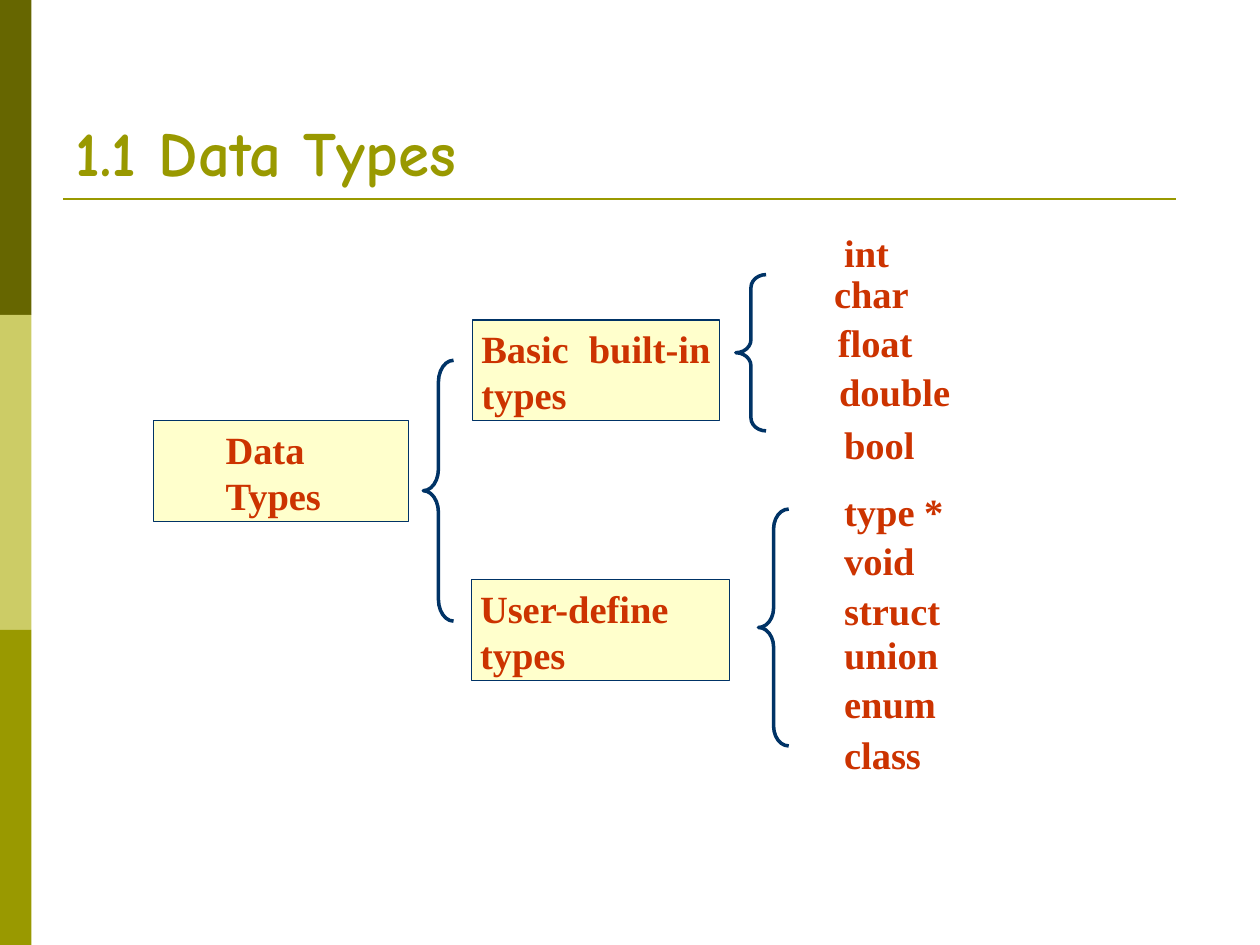
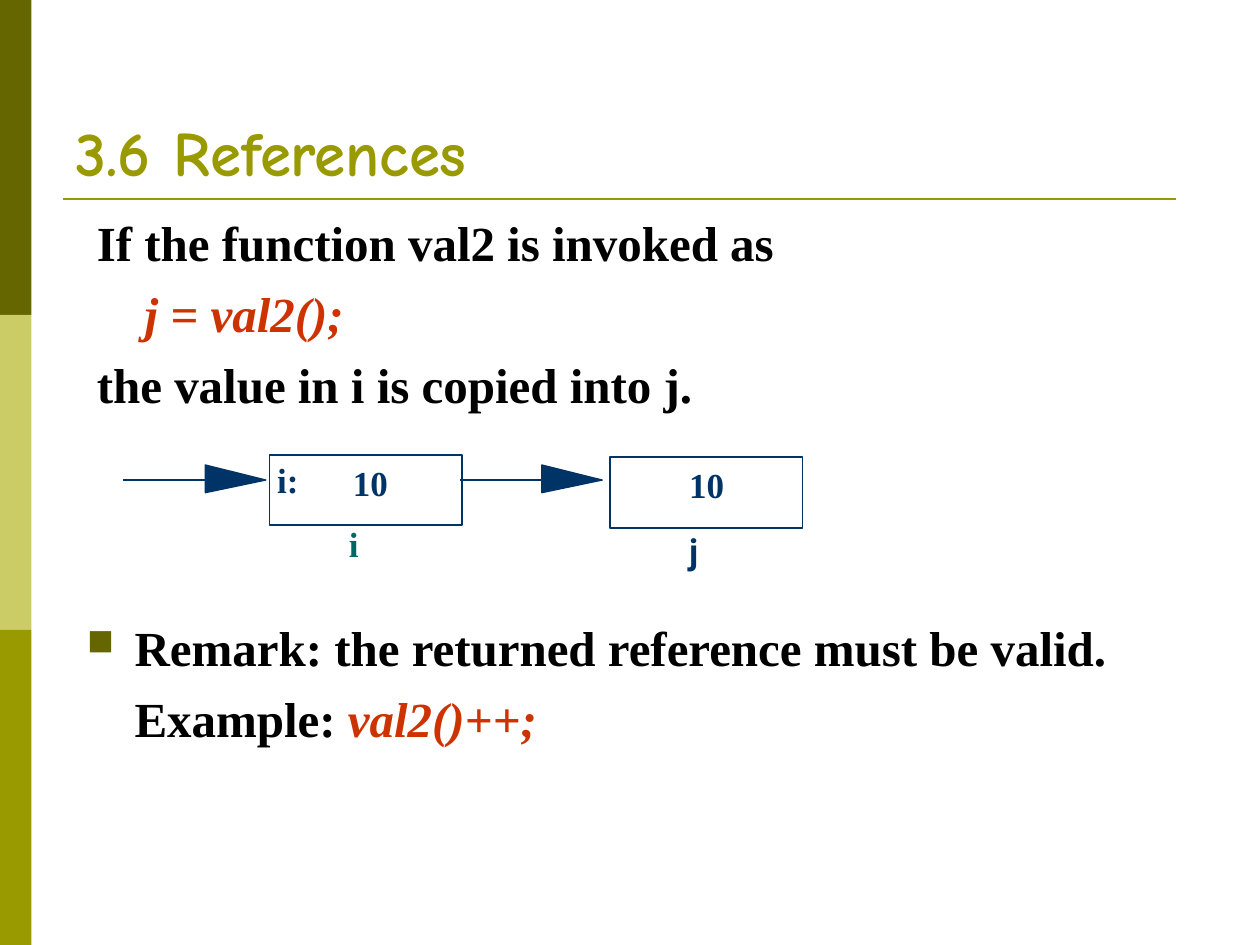
from dataclasses import dataclass

from lxml import etree
from pptx import Presentation
from pptx.dml.color import RGBColor
from pptx.enum.shapes import MSO_CONNECTOR, MSO_SHAPE
from pptx.enum.text import MSO_ANCHOR, MSO_AUTO_SIZE, PP_ALIGN
from pptx.oxml.ns import qn
from pptx.util import Inches, Pt

RECTANGLE = MSO_SHAPE.RECTANGLE
LEFT_BRACE = MSO_SHAPE.LEFT_BRACE
STRAIGHT = MSO_CONNECTOR.STRAIGHT
TOP, BOTTOM = MSO_ANCHOR.TOP, MSO_ANCHOR.BOTTOM
NO_AUTOFIT = MSO_AUTO_SIZE.NONE
LEFT, JUSTIFY = PP_ALIGN.LEFT, PP_ALIGN.JUSTIFY


@dataclass(frozen=True)
class Theme:
    olive: str = "999900"
    dark_olive: str = "666600"
    pale_olive: str = "CCCC66"
    navy: str = "003366"
    teal: str = "006666"
    red: str = "CC3300"
    cream: str = "FFFFCC"
    white: str = "FFFFFF"
    black: str = "000000"
    title_font: str = "Comic Neue"
    text_font: str = "Times New Roman"
    label_font: str = "Roboto"
    title_size: int = 36
    body_size: int = 28
    type_size: int = 22
    value_size: int = 20


THEME = Theme()

TYPE_LABELS = [
    ("int", 6.13, 1.78),
    ("char", 6.05, 2.1),
    ("float", 6.08, 2.49),
    ("double", 6.09, 2.88),
    ("bool", 6.13, 3.3),
    ("type *", 6.13, 3.83),
    ("void", 6.13, 4.22),
    ("struct", 6.13, 4.62),
    ("union", 6.13, 4.97),
    ("enum", 6.13, 5.36),
    ("class", 6.13, 5.76),
]


def box(left, top, width, height):
    return [Inches(value) for value in (left, top, width, height)]


def color(value):
    return RGBColor.from_string(value)


def style_font(font, size, value, name=THEME.text_font):
    font.name = name
    font.size = Pt(size)
    font.bold = True
    font.color.rgb = color(value)


def prepare_frame(shape, horizontal=0.0, vertical=0.0, anchor=TOP):
    frame = shape.text_frame
    frame.auto_size = NO_AUTOFIT
    frame.word_wrap = True
    frame.vertical_anchor = anchor
    frame.margin_left = frame.margin_right = Inches(horizontal)
    frame.margin_top = frame.margin_bottom = Inches(vertical)
    return frame


def set_indent(paragraph, margin, first_line=0.0):
    properties = paragraph._p.get_or_add_pPr()
    properties.set("marL", str(Inches(margin)))
    properties.set("indent", str(Inches(first_line)))
    return properties


def add_bullet(paragraph):
    properties = set_indent(paragraph, 0.38, -0.38)
    bullet_color = etree.SubElement(properties, qn("a:buClr"))
    etree.SubElement(bullet_color, qn("a:srgbClr"), val=THEME.dark_olive)
    etree.SubElement(properties, qn("a:buSzPct"), val="75000")
    etree.SubElement(properties, qn("a:buChar"), char="■")


def add_rectangle(slide, bounds, fill, line=None, width=0.75):
    shape = slide.shapes.add_shape(RECTANGLE, *box(*bounds))
    shape.shadow.inherit = False
    shape.fill.solid()
    shape.fill.fore_color.rgb = color(fill)
    if line:
        shape.line.color.rgb = color(line)
        shape.line.width = Pt(width)
    else:
        shape.line.fill.background()
    return shape


def add_line(slide, start, end, value, width):
    connector = slide.shapes.add_connector(
        STRAIGHT, *[Inches(number) for number in (*start, *end)])
    connector.line.color.rgb = color(value)
    connector.line.width = Pt(width)
    etree.SubElement(connector._element.spPr, qn("a:effectLst"))


def add_titled_slide(presentation, title):
    slide = presentation.slides.add_slide(presentation.slide_layouts[5])
    bands = (THEME.dark_olive, THEME.pale_olive, THEME.olive)
    for index, fill in enumerate(bands):
        add_rectangle(slide, (0, index * 2.5, 0.25, 2.5), fill)
    add_line(slide, (0.5, 1.58), (9.33, 1.58), THEME.olive, 1.5)
    placeholder = slide.shapes.title
    placeholder.left, placeholder.top, placeholder.width, placeholder.height = box(
        0.5, 0.3, 9, 1.25)
    paragraph = prepare_frame(placeholder, 0.1, 0.05, BOTTOM).paragraphs[0]
    paragraph.text = title
    paragraph.alignment = LEFT
    style_font(paragraph.font, THEME.title_size, THEME.olive, THEME.title_font)
    return slide


def write_type(shape, text, margin=0.0):
    paragraph = prepare_frame(shape, 0.07, 0.04).paragraphs[0]
    paragraph.text = text
    paragraph.alignment = JUSTIFY
    set_indent(paragraph, margin)
    style_font(paragraph.font, THEME.type_size, THEME.red)


def add_type_box(slide, text, bounds, margin=0.0):
    shape = add_rectangle(slide, bounds, THEME.cream, THEME.navy)
    write_type(shape, text, margin)


def add_type_label(slide, text, left, top):
    write_type(slide.shapes.add_textbox(*box(left, top, 1.8, 0.44)), text, 0.5)


def add_brace(slide, left, top, height, width=0.24):
    brace = slide.shapes.add_shape(LEFT_BRACE, *box(left, top, width, height))
    brace.adjustments[0] = 0.0833 * height / width
    brace.shadow.inherit = False
    brace.fill.background()
    brace.line.color.rgb = color(THEME.navy)
    brace.line.width = Pt(2)


def write_value(shape, text, value=THEME.navy, font=THEME.text_font, insets=(0, 0)):
    paragraph = prepare_frame(shape, *insets).paragraphs[0]
    paragraph.text = text
    paragraph.alignment = LEFT
    style_font(paragraph.font, THEME.value_size, value, font)


def add_value_text(slide, text, bounds, value=THEME.navy, font=THEME.text_font):
    write_value(slide.shapes.add_textbox(*box(*bounds)), text, value, font)


def add_variable_box(slide, left, top):
    return add_rectangle(
        slide, (left, top, 1.53, 0.56), THEME.white, THEME.navy, 1)


def add_long_arrow(slide, left, middle=3.81):
    base = left + 0.65
    corners = [(base, middle - 0.12), (base, middle + 0.1)]
    builder = slide.shapes.build_freeform(Inches(base + 0.48), Inches(middle))
    builder.add_line_segments(
        [(Inches(x), Inches(y)) for x, y in corners], close=True)
    head = builder.convert_to_shape()
    head.shadow.inherit = False
    head.fill.solid()
    head.fill.fore_color.rgb = color(THEME.navy)
    head.line.color.rgb = color(THEME.navy)
    head.line.width = Pt(0.75)
    add_line(slide, (left, middle), (base, middle), THEME.navy, 1)


def add_body(slide, bounds, lines):
    frame = prepare_frame(slide.shapes.add_textbox(*box(*bounds)), 0.1, 0.05)
    for index, (text, code, style) in enumerate(lines):
        paragraph = frame.add_paragraph() if index else frame.paragraphs[0]
        if style == "bullet":
            add_bullet(paragraph)
        elif style == "indented":
            set_indent(paragraph, 0.38)
        else:
            set_indent(paragraph, 0.38, -0.38)
        if index:
            paragraph.space_before = Pt(7)
        style_font(paragraph.font, THEME.body_size, THEME.black)
        if text:
            paragraph.add_run().text = text
        if code:
            run = paragraph.add_run()
            run.text = code
            run.font.italic = True
            run.font.color.rgb = color(THEME.red)


def build_data_types(presentation):
    slide = add_titled_slide(presentation, "1.1 Data Types")
    add_type_box(slide, "Data Types", (1.22, 3.34, 2.02, 0.8), 0.5)
    add_type_box(slide, "Basic built-in types", (3.75, 2.54, 1.96, 0.8))
    add_type_box(slide, "User-define types", (3.74, 4.6, 2.05, 0.8))
    for left, top, height in ((3.36, 2.86, 2.07), (5.84, 2.18, 1.24), (6.02, 4.04, 1.88)):
        add_brace(slide, left, top, height)
    for text, left, top in TYPE_LABELS:
        add_type_label(slide, text, left, top)


def build_references(presentation):
    slide = add_titled_slide(presentation, "3.6 References")
    add_body(slide, (0.67, 1.64, 8.49, 1.87), [
        ("If the function val2 is invoked as", "", "hanging"),
        ("", "j = val2();", "indented"),
        ("the value in i is copied into j.", "", "hanging"),
    ])
    source_box = add_variable_box(slide, 2.14, 3.61)
    write_value(source_box, "i:", insets=(0.06, 0.03))
    add_variable_box(slide, 4.84, 3.63)
    add_value_text(slide, "10", (2.8, 3.66, 0.51, 0.56))
    add_value_text(slide, "10", (5.47, 3.68, 0.51, 0.56))
    add_value_text(slide, "i", (2.77, 4.15, 0.3, 0.65), THEME.teal)
    add_value_text(slide, "j", (5.47, 4.2, 0.3, 0.65), font=THEME.label_font)
    for left in (0.98, 3.65):
        add_long_arrow(slide, left)
    add_body(slide, (0.59, 4.85, 8.49, 1.88), [
        ("Remark: the returned reference must be valid.", "", "bullet"),
        ("Example: ", "val2()++;", "indented"),
    ])


def main():
    presentation = Presentation()
    presentation.slide_width = Inches(10)
    presentation.slide_height = Inches(7.5)
    build_data_types(presentation)
    build_references(presentation)
    presentation.save("out.pptx")


if __name__ == "__main__":
    main()
